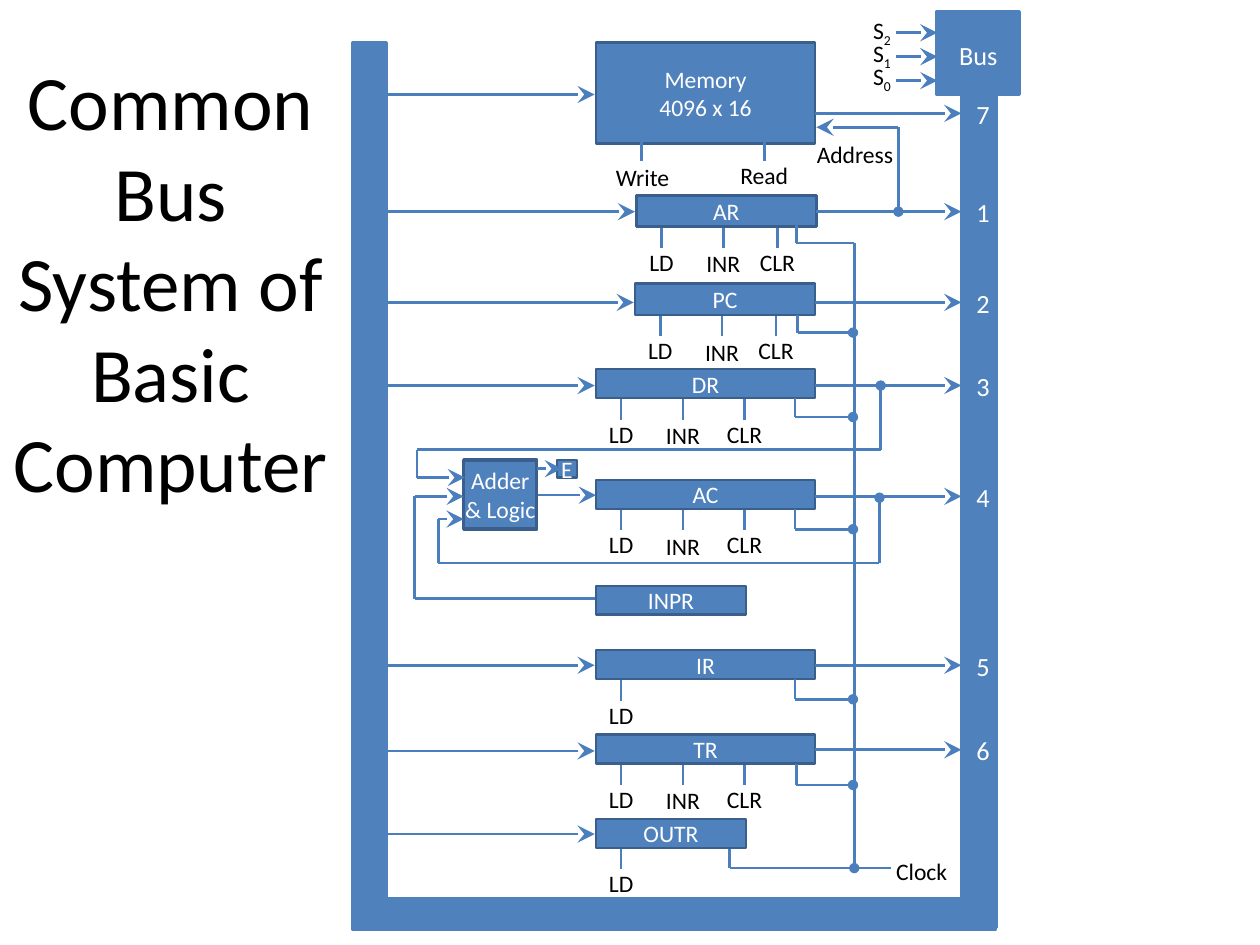
from itertools import pairwise

from lxml import etree
from pptx import Presentation
from pptx.dml.color import RGBColor
from pptx.enum.shapes import MSO_CONNECTOR, MSO_SHAPE
from pptx.enum.text import MSO_ANCHOR, MSO_AUTO_SIZE, PP_ALIGN
from pptx.oxml.ns import qn
from pptx.util import Inches, Pt

RECTANGLE = MSO_SHAPE.RECTANGLE
STRAIGHT = MSO_CONNECTOR.STRAIGHT
MIDDLE, TOP = MSO_ANCHOR.MIDDLE, MSO_ANCHOR.TOP
CENTER = PP_ALIGN.CENTER
GROW, FIXED = MSO_AUTO_SIZE.SHAPE_TO_FIT_TEXT, MSO_AUTO_SIZE.NONE

FONT = "Calibri"
BLUE, EDGE, WIRE = "4F81BD", "3A5F8C", "4B7EBC"
WHITE, BLACK = "FFFFFF", "000000"
BOX_INSETS = (0.07, 0.04, 0.07, 0.04)
LABEL_INSETS = (0.1, 0.05, 0.1, 0.05)
NO_INSETS = (0, 0, 0, 0)

TITLE = "Common Bus System of Basic Computer"
BUS_LEFT, BUS_RIGHT, CLOCK_X = 3.08, 7.63, 6.78
BUS_PARTS = [
    (7.43, 0.09, 0.66, 0.66),
    (2.8, 7.13, 5.1, 0.25),
    (2.8, 0.34, 0.27, 7.03),
    (7.63, 0.71, 0.28, 6.65),
]
WIDE_PINS = [("LD", 0.2), ("INR", 0.69), ("CLR", 1.18)]
NARROW_PINS = [("LD", 0.2), ("INR", 0.69), ("CLR", 1.12)]
LOAD_PIN = WIDE_PINS[:1]
PIN_LABELS = {"LD": (0.4, 0.12), "INR": (0.53, 0.13), "CLR": (0.53, 0.12)}

# name, box, pins, input y, output y, bus number, clock tap
REGISTERS = [
    ("Memory\n4096 x 16", (4.73, 0.34, 1.74, 0.8), [], 0.75, 0.9, "7", None),
    ("AR", (5.05, 1.55, 1.43, 0.25), NARROW_PINS, 1.68, 1.68, "1", None),
    ("PC", (5.04, 2.25, 1.43, 0.25), NARROW_PINS, 2.4, 2.4, "2", (6.33, 2.64)),
    ("DR", (4.73, 2.93, 1.74, 0.23), WIDE_PINS, 3.06, 3.06, "3", (6.31, 3.31)),
    ("AC", (4.73, 3.81, 1.74, 0.23), WIDE_PINS, None, 3.94, "4", (6.31, 4.2)),
    ("INPR", (4.73, 4.65, 1.19, 0.23), [], None, None, None, None),
    ("IR", (4.73, 5.16, 1.74, 0.23), LOAD_PIN, 5.28, 5.28, "5", (6.31, 5.55)),
    ("TR", (4.73, 5.83, 1.74, 0.23), WIDE_PINS, 5.96, 5.95, "6", (6.32, 6.23)),
    ("OUTR", (4.73, 6.5, 1.19, 0.23), LOAD_PIN, 6.62, None, None, None),
]
LOGIC_BOXES = [
    ("Adder & Logic", (3.68, 3.65, 0.58, 0.55), 2),
    ("E", (4.42, 3.65, 0.16, 0.14), 1.5),
]
WIRES = [
    ([(5.09, 1.12), (5.09, 1.28)], None, None),
    ([(6.07, 1.12), (6.07, 1.28)], None, None),
    ([(6.32, 1.78), (6.32, 1.93), (CLOCK_X, 1.93), (CLOCK_X, 6.89)], None, "oval"),
    ([(5.79, 6.74), (5.79, 6.89), (7.07, 6.89)], None, None),
    ([(7.13, 1.68), (7.13, 1.01), (6.48, 1.01)], "oval", "stealth"),
    ([(6.99, 3.06), (6.99, 3.57), (3.31, 3.57), (3.31, 3.79), (3.69, 3.79)], "oval", "stealth"),
    ([(4.72, 4.75), (3.29, 4.75), (3.29, 3.94), (3.68, 3.94)], None, "stealth"),
    ([(6.98, 3.95), (6.98, 4.47), (3.48, 4.47), (3.48, 4.12), (3.68, 4.12)], "oval", "stealth"),
    ([(4.27, 3.93), (4.73, 3.93)], None, "stealth"),
    ([(4.26, 3.72), (4.46, 3.72)], None, "stealth"),
]
LABELS = [
    ("Write", (4.78, 1.24, 0.64, 0.33)),
    ("Read", (5.77, 1.23, 0.59, 0.33)),
    ("Address", (6.36, 1.06, 0.85, 0.33)),
    ("Clock", (6.93, 6.75, 0.77, 0.33)),
]
SELECT_LINES = ["2", "1", "0"]
SELECT_TOP, SELECT_STEP = 0.26, 0.19

presentation = Presentation()
presentation.slide_width, presentation.slide_height = Inches(10), Inches(7.5)
slide = presentation.slides.add_slide(presentation.slide_layouts[6])


def color(value):
    return RGBColor.from_string(value)


def inches(values):
    return [Inches(value) for value in values]


def write(shape, text, size, ink, insets, anchor, auto_size, subscript=None):
    frame = shape.text_frame
    left, top, right, bottom = inches(insets)
    settings = {
        "margin_left": left, "margin_top": top, "margin_right": right, "margin_bottom": bottom,
        "word_wrap": True, "vertical_anchor": anchor, "auto_size": auto_size, "text": text,
    }
    for name, value in settings.items():
        setattr(frame, name, value)
    if subscript:
        run = frame.paragraphs[0].add_run()
        run.text = subscript
        run._r.get_or_add_rPr().set("baseline", "-25000")
    for paragraph in frame.paragraphs:
        paragraph.alignment = CENTER
        for run in paragraph.runs:
            run.font.name, run.font.size = FONT, Pt(size)
            run.font.color.rgb = color(ink)


def add_box(place, edge, text=None, width=1.5, insets=BOX_INSETS):
    shape = slide.shapes.add_shape(RECTANGLE, *inches(place))
    shape.shadow.inherit = False
    shape.fill.solid()
    shape.fill.fore_color.rgb = color(BLUE)
    shape.line.color.rgb = color(edge)
    shape.line.width = Pt(width)
    if text:
        write(shape, text, 13.5, WHITE, insets, MIDDLE, FIXED)


def add_label(place, text, size=13.5, ink=BLACK, anchor=TOP, auto_size=GROW, subscript=None):
    shape = slide.shapes.add_textbox(*inches(place))
    write(shape, text, size, ink, LABEL_INSETS, anchor, auto_size, subscript)
    return shape


def add_wire(points, start=None, end=None):
    segments = list(pairwise(points))
    for index, (first, last) in enumerate(segments):
        connector = slide.shapes.add_connector(STRAIGHT, *inches(first + last))
        connector.line.color.rgb = color(WIRE)
        connector.line.width = Pt(1.5)
        ends = {
            "a:headEnd": start if index == 0 else None,
            "a:tailEnd": end if index == len(segments) - 1 else None,
        }
        for tag, kind in ends.items():
            if kind:
                size = "lg" if kind == "stealth" else "med"
                etree.SubElement(connector.line._get_or_add_ln(), qn(tag), type=kind, w=size, len=size)
        etree.SubElement(connector._element.spPr, qn("a:effectLst"))


for part in BUS_PARTS:
    add_box(part, BLUE)

for name, box, pins, input_y, output_y, number, tap in REGISTERS:
    left, top, width, height = box
    bottom = top + height
    add_box(box, EDGE, name)
    for pin, offset in pins:
        x = left + offset
        label_width, gap = PIN_LABELS[pin]
        add_label((x - label_width / 2, bottom + gap, label_width, 0.33), pin)
        add_wire([(x, bottom + 0.01), (x, bottom + 0.17)])
    if input_y:
        add_wire([(BUS_LEFT, input_y), (left - 0.01, input_y)], end="stealth")
    if output_y:
        add_wire([(left + width, output_y), (BUS_RIGHT, output_y)], end="stealth")
        add_label((7.65, output_y - 0.17, 0.22, 0.35), number, 15, WHITE)
    if tap:
        x, y = tap
        add_wire([(x, bottom), (x, y), (CLOCK_X - 0.01, y)], end="oval")

for text, box, width in LOGIC_BOXES:
    add_box(box, EDGE, text, width, NO_INSETS)
for points, start, end in WIRES:
    add_wire(points, start, end)
for text, place in LABELS:
    add_label(place, text)

for index, digit in enumerate(SELECT_LINES):
    y = SELECT_TOP + index * SELECT_STEP
    add_wire([(7.11, y), (7.44, y)], end="stealth")
    add_label((6.82, 0.08 + index * 0.18, 0.36, 0.33), "S", subscript=digit)

add_label((7.5, 0.26, 0.53, 0.35), "Bus", 15, WHITE)
title = add_label((-0.04, 0.36, 2.79, 3.8), TITLE, 44, anchor=MIDDLE, auto_size=FIXED)
title.text_frame.paragraphs[0].line_spacing = 0.98

presentation.save("out.pptx")
